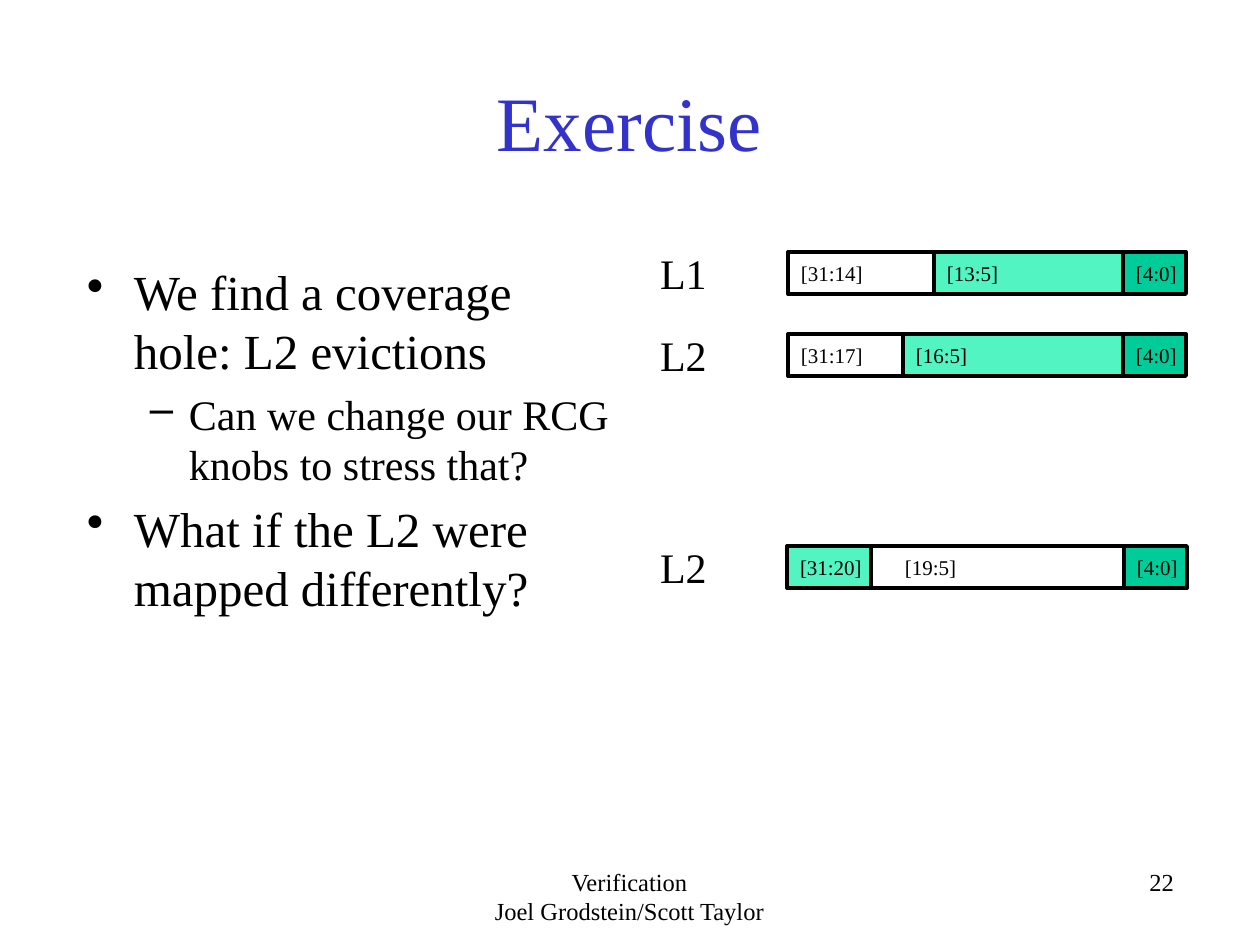
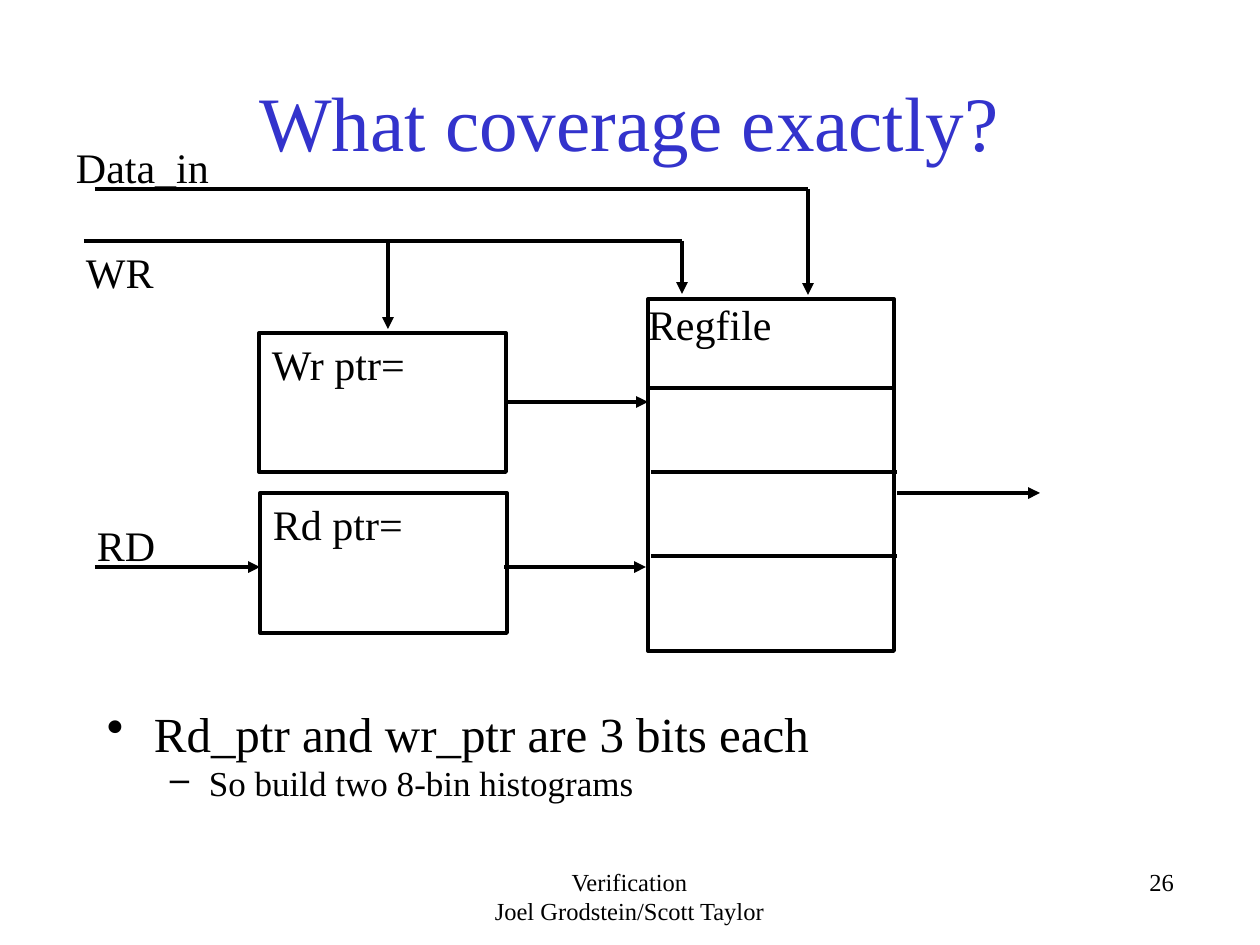
from pptx import Presentation
from pptx.dml.color import RGBColor
from pptx.enum.shapes import MSO_CONNECTOR, MSO_SHAPE
from pptx.enum.text import MSO_ANCHOR, PP_ALIGN
from pptx.oxml.ns import qn
from pptx.util import Emu, Pt
from lxml.etree import SubElement

SCALE = 914400 / 126  # EMU in one pixel
FONT = "Times New Roman"
BLACK, TITLE_BLUE, MINT, GREEN = "000000", "3333CC", "52F4C2", "00CC99"
INSETS = (13, 6, 13, 6)
# bullet sign, left margin and hanging indent for each level
BULLETS = [("\u2022", 47, -47), ("\u2013", 102, -39)]


def px(length):
    return Emu(round(length * SCALE))


def color(value):
    return RGBColor.from_string(value)


def write(box, *lines, size=24, ink=BLACK, align=PP_ALIGN.LEFT,
          anchor=MSO_ANCHOR.TOP, wrap=True, insets=INSETS):
    """Fill a box with one paragraph for each line and return the paragraphs."""
    frame = box.text_frame
    frame.word_wrap = wrap
    frame.vertical_anchor = anchor
    (frame.margin_left, frame.margin_top,
     frame.margin_right, frame.margin_bottom) = map(px, insets)
    paras = []
    for number, line in enumerate(lines):
        para = frame.add_paragraph() if number else frame.paragraphs[0]
        para.alignment = align
        span = para.add_run()
        span.text = line
        span.font.name = FONT
        span.font.size = Pt(size)
        span.font.color.rgb = color(ink)
        paras.append(para)
    return paras


class Lecture:
    """The deck's style and the page that is being drawn."""

    def __init__(self):
        self.deck = Presentation()
        self.deck.slide_width, self.deck.slide_height = px(1260), px(945)

    def new_page(self, title, number):
        self.page = self.deck.slides.add_slide(self.deck.slide_layouts[6])
        self.text((788, 861, 399, 63), str(number), size=14, align=PP_ALIGN.RIGHT)
        self.text((94, 42, 1071, 158), title, size=44, ink=TITLE_BLUE,
                  align=PP_ALIGN.CENTER, anchor=MSO_ANCHOR.MIDDLE)
        self.text((430, 861, 399, 63), "Verification", "Joel Grodstein/Scott Taylor",
                  size=14, align=PP_ALIGN.CENTER)

    def text(self, place, *lines, **style):
        box = self.page.shapes.add_textbox(*map(px, place))
        return write(box, *lines, **style)

    def bullets(self, place, items):
        """Items are (level, size, text, space before in points)."""
        paras = self.text(place, *[item[2] for item in items])
        for para, (level, size, _, before) in zip(paras, items):
            sign, margin, indent = BULLETS[level]
            para.level = level
            para.space_before = Pt(before)
            para.runs[0].font.size = Pt(size)
            properties = para._p.get_or_add_pPr()
            properties.set("marL", str(px(margin)))
            properties.set("indent", str(px(indent)))
            SubElement(properties, qn("a:buChar")).set("char", sign)

    def rect(self, place, label, fill=None, **style):
        box = self.page.shapes.add_shape(MSO_SHAPE.RECTANGLE, *map(px, place))
        box.shadow.inherit = False
        if fill:
            box.fill.solid()
            box.fill.fore_color.rgb = color(fill)
        else:
            box.fill.background()
        box.line.color.rgb = color(BLACK)
        box.line.width = Pt(2.25)
        write(box, label, **style)

    def line(self, x1, y1, x2, y2, arrow=False):
        wire = self.page.shapes.add_connector(
            MSO_CONNECTOR.STRAIGHT, *map(px, (x1, y1, x2, y2)))
        wire.line.color.rgb = color(BLACK)
        wire.line.width = Pt(2.25)
        if arrow:
            SubElement(wire.line._get_or_add_ln(), qn("a:tailEnd")).set("type", "triangle")
        SubElement(wire._element.spPr, qn("a:effectLst"))

    def address(self, name, top, edges, fields):
        """A cache name and its address, cut into fields at the given edges."""
        spans = list(zip(edges, edges[1:], fields))
        for left, right, (label, fill, inset) in reversed(spans):
            self.rect((left, top, right - left, 42), label, fill, size=12, wrap=False,
                      anchor=MSO_ANCHOR.MIDDLE, insets=(inset, 6, 13, 6))
        self.text((647, top - 10, 94, 63), name)


lecture = Lecture()

# Exercise: how the caches cut an address
lecture.new_page("Exercise", 22)
lecture.bullets((74, 256, 556, 532), [
    (0, 28, "We find a coverage hole: L2 evictions", 5.6),
    (1, 24, "Can we change our RCG knobs to stress that?", 4.8),
    (0, 28, "What if the L2 were mapped differently?", 5.6)])
offset = ("[4:0]", GREEN, 13)
lecture.address("L1", 252, (788, 934, 1123, 1186),
                [("[31:14]", None, 13), ("[13:5]", MINT, 13), offset])
lecture.address("L2", 334, (788, 903, 1123, 1186),
                [("[31:17]", None, 13), ("[16:5]", MINT, 13), offset])
lecture.address("L2", 546, (787, 871, 1124, 1187),
                [("[31:20]", MINT, 13), ("[19:5]", None, 34), offset])

# Coverage: a register file with its two pointers
lecture.new_page("What coverage exactly?", 26)
lecture.bullets((94, 697, 1071, 144), [
    (0, 28, "Rd_ptr and wr_ptr are 3 bits each", 5.6),
    (1, 20, "So build two 8-bin histograms", 0)])
lecture.rect((648, 299, 246, 352), "Regfile", insets=(0, 0, 13, 6))
lecture.rect((260, 493, 247, 140), "Rd ptr=")
lecture.rect((259, 333, 247, 139), "Wr ptr=")
for left, top, width, name in [(63, 136, 199, "Data_in"), (73, 241, 116, "WR"),
                               (84, 514, 94, "RD")]:
    lecture.text((left, top, width, 63), name)

# Register rows
for left, y in [(648, 388), (651, 472), (651, 556)]:
    lecture.line(left, y, left + 246, y)

# Input wires
lecture.line(84, 241, 682, 241)
lecture.line(95, 189, 808, 189)

# Arrows between the parts
for ends in [(682, 241, 682, 294), (808, 189, 808, 295), (388, 241, 388, 329),
             (95, 567, 260, 567), (506, 402, 648, 402), (504, 567, 646, 567),
             (897, 493, 1040, 493)]:
    lecture.line(*ends, arrow=True)

lecture.deck.save("out.pptx")
